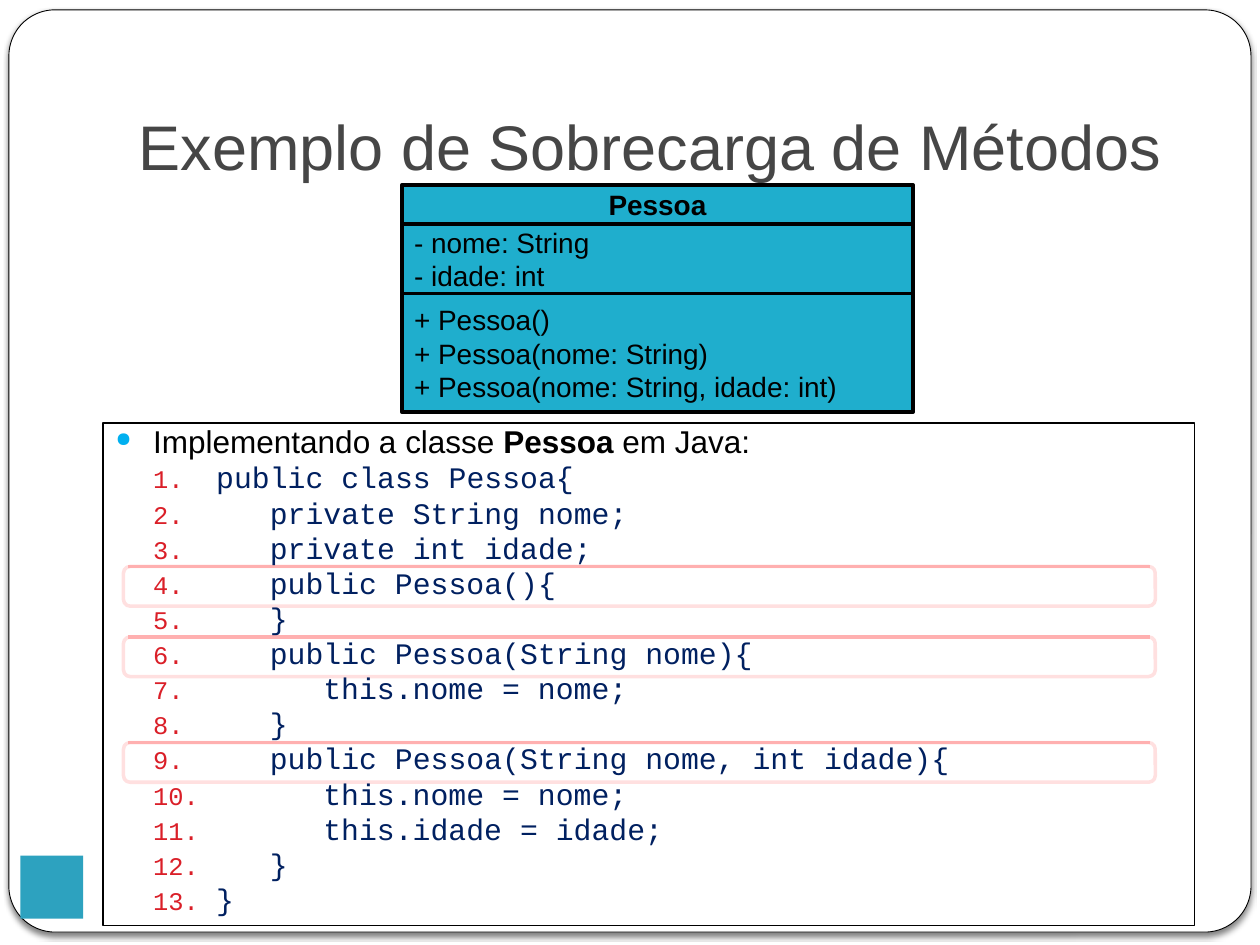
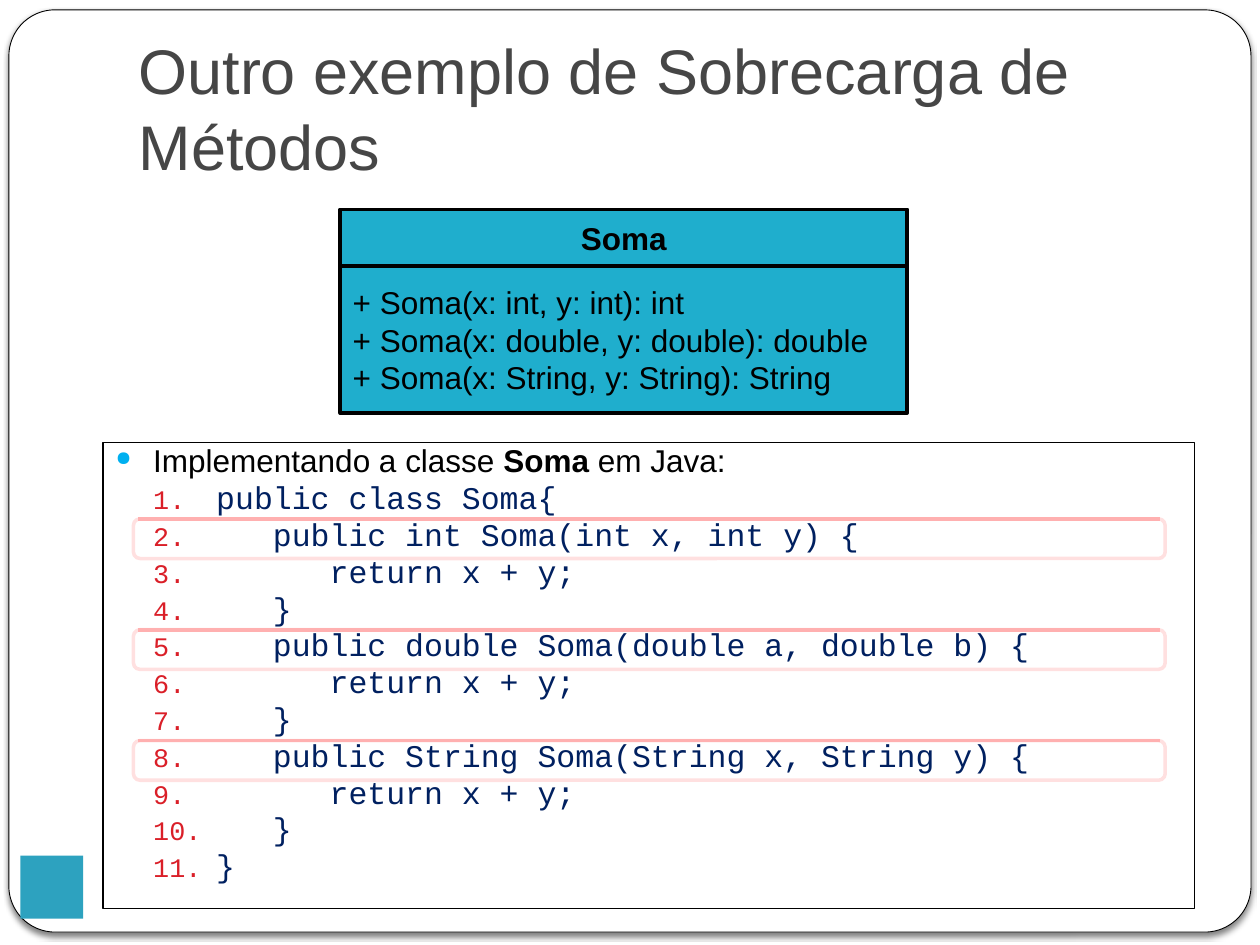
from lxml import etree
from pptx import Presentation
from pptx.dml.color import RGBColor
from pptx.enum.shapes import MSO_CONNECTOR, MSO_SHAPE
from pptx.enum.text import MSO_ANCHOR, MSO_AUTO_SIZE, PP_ALIGN
from pptx.oxml import parse_xml
from pptx.oxml.ns import qn
from pptx.util import Cm, Pt

RECT, ROUND = MSO_SHAPE.RECTANGLE, MSO_SHAPE.ROUNDED_RECTANGLE
LINE = MSO_CONNECTOR.STRAIGHT
TOP, MIDDLE, BOTTOM = MSO_ANCHOR.TOP, MSO_ANCHOR.MIDDLE, MSO_ANCHOR.BOTTOM
LEFT, CENTER = PP_ALIGN.LEFT, PP_ALIGN.CENTER
NO_FIT = MSO_AUTO_SIZE.NONE

COLORS = {
    "paper": "FFFFFF", "ink": "000000", "title": "464646", "square": "2DA2BF",
    "uml": "1FAECD", "dot": "00B0F0", "number": "DA1F28", "code": "002060",
    "mark": "FFB0B0", "pale": "FFE0E0",
}
SANS, MONO = "Arial", "Courier New"
NS = "http://schemas.openxmlformats.org/drawingml/2006/main"
SHADOW = (f'<a:effectLst xmlns:a="{NS}"><a:outerShdw blurRad="38100" dist="25400" '
          f'dir="5400000"><a:srgbClr val="{COLORS["ink"]}"><a:alpha val="50000"/>'
          '</a:srgbClr></a:outerShdw></a:effectLst>')


def color(name):
    return RGBColor.from_string(COLORS[name])


def add_box(slide, box, fill=None, line=None, width=1, kind=RECT):
    """Add a flat shape; box is left, top, width, height in cm."""
    shape = slide.shapes.add_shape(kind, *map(Cm, box))
    shape.shadow.inherit = False
    if fill:
        shape.fill.solid()
        shape.fill.fore_color.rgb = color(fill)
    else:
        shape.fill.background()
    if line:
        shape.line.color.rgb = color(line)
        shape.line.width = Pt(width)
    else:
        shape.line.fill.background()
    return shape


def set_font(para, size, ink="ink", name=SANS, bold=False):
    font = para.font
    font.size, font.name, font.bold = Pt(size), name, bold
    font.color.rgb = color(ink)


def add_paras(frame, count):
    """Return the frame's first paragraph and new ones, count in all."""
    return [frame.paragraphs[0]] + [frame.add_paragraph() for _ in range(count - 1)]


def set_bullet(para, margin, start, ink, scale, tag, **attrs):
    """Hang a bullet at start and the text at margin, both in cm."""
    props = para._p.get_or_add_pPr()
    props.set("marL", str(Cm(margin)))
    props.set("indent", str(Cm(start) - Cm(margin)))
    tint = etree.SubElement(props, qn("a:buClr"))
    etree.SubElement(tint, qn("a:srgbClr"), val=COLORS[ink])
    etree.SubElement(props, qn("a:buSzPct"), val=str(scale * 1000))
    etree.SubElement(props, qn(tag), **attrs)


def add_base(slide, text):
    """Draw the rounded frame, the title and the corner square."""
    title = slide.shapes.title
    frame = add_box(slide, (0.18, 0.2, 25.04, 18.59), "paper", "ink", 0.5, ROUND)
    frame.adjustments[0] = 0.05
    props = frame.element.spPr
    props.replace(props.find(qn("a:effectLst")), parse_xml(SHADOW))
    title.element.addprevious(frame.element)

    title.left, title.top, title.width, title.height = map(Cm, (2.54, 0.76, 21.59, 3.18))
    body = title.text_frame
    body.text = text
    body.auto_size, body.word_wrap = NO_FIT, True
    body.vertical_anchor, body.margin_bottom = BOTTOM, Cm(0.25)
    body.paragraphs[0].alignment = LEFT
    set_font(body.paragraphs[0], 36, "title")
    add_box(slide, (0.41, 17.25, 1.27, 1.27), "square")


def add_uml(slide, left, top, width, size, parts):
    """Stack class diagram parts, each a height and its lines; the first is the name."""
    for index, (height, lines) in enumerate(parts):
        part = add_box(slide, (left, top, width, height), "uml", "ink", 2)
        body = part.text_frame
        body.word_wrap, body.vertical_anchor = True, MIDDLE
        for para, text in zip(add_paras(body, len(lines)), lines):
            para.text = text
            para.alignment = LEFT if index else CENTER
            set_font(para, size, bold=not index)
        top += height


def add_mark(slide, left, top, width=20.8, height=0.8):
    add_box(slide, (left, top, width, height), line="pale", width=2, kind=ROUND)
    edge = slide.shapes.add_connector(
        LINE, *map(Cm, (left + 0.1, top, left + width - 0.1, top)))
    edge.line.color.rgb = color("mark")
    edge.line.width = Pt(2)
    etree.SubElement(edge.element.spPr, qn("a:effectLst"))


def add_code(slide, box, size, name, code, marks, inset):
    """Write the numbered code, each line a depth and a text, over its marked lines."""
    left, top = box[:2]
    pitch = 0.035 * size + 0.115
    for number in marks:
        add_mark(slide, left + inset, top + number * pitch + 0.05)

    body = add_box(slide, box, line="ink", width=0.75).text_frame
    body.word_wrap, body.vertical_anchor = True, TOP
    head, *rows = add_paras(body, len(code) + 1)
    for text, bold in (("Implementando a classe ", False), (name, True),
                       (" em Java:", False)):
        run = head.add_run()
        run.text, run.font.bold = text, bold
    head.alignment, head.line_spacing, head.space_before = LEFT, 0.8, Pt(5.8)
    set_bullet(head, 0.76, 0, "dot", 64, "a:buChar", char="●")
    set_font(head, 18)

    step = Pt(size * 1.8).cm
    for para, (depth, text) in zip(rows, code):
        para.text, para.level = text, 1
        para.alignment, para.line_spacing, para.space_before = LEFT, 0.8, Pt(3.75)
        set_bullet(para, 2.03 + depth * step, 0.76, "number", 85, "a:buAutoNum",
                   type="arabicPeriod")
        set_font(para, size, "code", MONO)


PERSON = [
    (0, "public class Pessoa{"),
    (1, "private String nome;"),
    (1, "private int idade;"),
    (1, "public Pessoa(){"),
    (1, "}"),
    (1, "public Pessoa(String nome){"),
    (2, "this.nome = nome;"),
    (1, "}"),
    (1, "public Pessoa(String nome, int idade){"),
    (2, "this.nome = nome;"),
    (2, "this.idade = idade;"),
    (1, "}"),
    (0, "}"),
]
HEADS = ["int Soma(int x, int y)", "double Soma(double a, double b)",
         "String Soma(String x, String y)"]
SUM = [(0, "public class Soma{")]
for head in HEADS:
    SUM += [(1, f"public {head} {{"), (2, "return x + y;"), (1, "}")]
SUM.append((0, "}"))


def main():
    deck = Presentation()
    deck.slide_width, deck.slide_height = Cm(25.4), Cm(19.05)
    layout = deck.slide_layouts[5]

    slide = deck.slides.add_slide(layout)
    add_base(slide, "Exemplo de Sobrecarga de Métodos")
    add_code(slide, (2.08, 8.53, 22, 10.13), 17, "Pessoa", PERSON, (4, 6, 9), 0.41)
    add_uml(slide, 8.1, 3.73, 10.31, 16, [
        (0.79, ["Pessoa"]),
        (1.4, ["- nome: String", "- idade: int"]),
        (2.39, ["+ Pessoa()", "+ Pessoa(nome: String)",
                "+ Pessoa(nome: String, idade: int)"]),
    ])

    slide = deck.slides.add_slide(layout)
    add_base(slide, "Outro exemplo de Sobrecarga de Métodos")
    add_code(slide, (2.08, 8.92, 22, 9.4), 18, "Soma", SUM, (2, 5, 8), 0.61)
    add_uml(slide, 6.86, 4.22, 11.43, 18, [
        (1.14, ["Soma"]),
        (2.97, [f"+ Soma(x: {kind}, y: {kind}): {kind}"
                for kind in ("int", "double", "String")]),
    ])
    deck.save("out.pptx")


if __name__ == "__main__":
    main()
